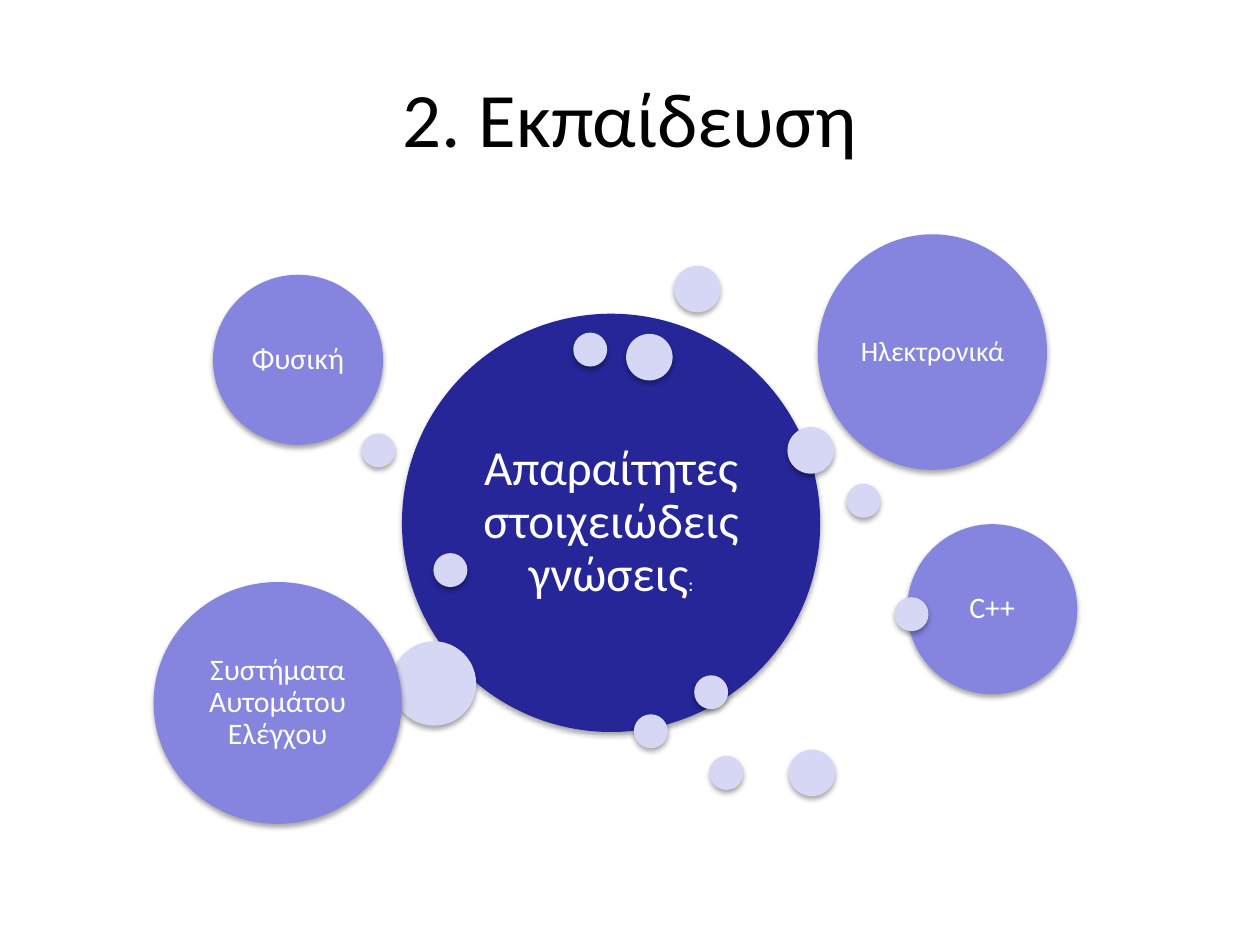
import dataclasses

import lxml.etree
import pptx
import pptx.dml.color
import pptx.enum.shapes
import pptx.enum.text
import pptx.oxml.ns
import pptx.util


@dataclasses.dataclass(frozen=True)
class Theme:
    font: str = "Calibri"
    title_color: str = "000000"
    text_color: str = "FFFFFF"
    core_fill: str = "262699"
    topic_fill: str = "8585E0"
    bubble_fill: str = "D6D6F5"
    shadow_color: str = "000000"
    title_size: float = 44
    core_size: float = 28
    colon_size: float = 11
    topic_size: float = 17
    small_topic_size: float = 16


THEME = Theme()

TOPICS = [
    ("Φυσική", 121.7, 157, 97.2, 97.2, THEME.topic_size),
    ("Ηλεκτρονικά", 467.3, 133.9, 131, 134.6, THEME.small_topic_size),
    ("C++", 518.4, 299.5, 97.2, 97.2, THEME.topic_size),
    ("Συστήματα Αυτομάτου Ελέγχου", 87.8, 332.6, 141.8, 138.2, THEME.topic_size),
]

LARGE_BUBBLES = [(223.9, 366.5)]
MEDIUM_BUBBLES = [(385.2, 151.9), (450.7, 428.4), (357.8, 190.8), (450, 244.1)]
SMALL_BUBBLES = [
    (362.2, 408.2), (483.8, 276.5), (327.6, 190.1), (247.7, 316.1),
    (206.6, 247.7), (396.7, 385.9), (511.2, 341.3), (405.4, 432),
]


def place(shape, left, top, width, height):
    shape.left, shape.top = pptx.util.Pt(left), pptx.util.Pt(top)
    shape.width, shape.height = pptx.util.Pt(width), pptx.util.Pt(height)


def add_text(paragraph, text, *, size, color=THEME.text_color, line_spacing=None):
    paragraph.alignment = pptx.enum.text.PP_ALIGN.CENTER
    if line_spacing is not None:
        paragraph.line_spacing = line_spacing
    run = paragraph.add_run()
    run.text = text
    run.font.name = THEME.font
    run.font.size = pptx.util.Pt(size)
    run.font.color.rgb = pptx.dml.color.RGBColor.from_string(color)


def add_shadow(shape):
    shape.shadow.inherit = False
    qualified = pptx.oxml.ns.qn
    effects = shape._element.spPr.find(qualified("a:effectLst"))
    shadow = lxml.etree.SubElement(
        effects, qualified("a:outerShdw"),
        blurRad=str(pptx.util.Pt(3.1)), dist=str(pptx.util.Pt(1.8)),
        dir="5400000", rotWithShape="0")
    color = lxml.etree.SubElement(
        shadow, qualified("a:srgbClr"), val=THEME.shadow_color)
    lxml.etree.SubElement(color, qualified("a:alpha"), val="35000")


def add_circle(slide, left, top, width, height, fill):
    lengths = [pptx.util.Pt(value) for value in (left, top, width, height)]
    shape = slide.shapes.add_shape(
        pptx.enum.shapes.MSO_SHAPE.OVAL, *lengths)
    shape.fill.solid()
    shape.fill.fore_color.rgb = pptx.dml.color.RGBColor.from_string(fill)
    shape.line.fill.background()
    add_shadow(shape)
    return shape


def add_labelled_circle(slide, box, fill, pieces, inset):
    frame = add_circle(slide, *box, fill).text_frame
    frame.word_wrap = True
    frame.vertical_anchor = pptx.enum.text.MSO_ANCHOR.MIDDLE
    frame.margin_left = frame.margin_right = pptx.util.Pt(inset)
    frame.margin_top = frame.margin_bottom = pptx.util.Pt(inset)
    for text, size in pieces:
        add_text(frame.paragraphs[0], text, size=size, line_spacing=0.9)


def add_bubbles(slide, positions, diameter):
    for left, top in positions:
        add_circle(slide, left, top, diameter, diameter, THEME.bubble_fill)


def add_title(slide, text):
    title = slide.shapes.title
    place(title, 36, 21.6, 648, 90)
    frame = title.text_frame
    frame.auto_size = pptx.enum.text.MSO_AUTO_SIZE.NONE
    frame.vertical_anchor = pptx.enum.text.MSO_ANCHOR.MIDDLE
    add_text(frame.paragraphs[0], text,
             size=THEME.title_size, color=THEME.title_color)


def main():
    presentation = pptx.Presentation()
    presentation.slide_width = pptx.util.Pt(720)
    presentation.slide_height = pptx.util.Pt(540)
    slide = presentation.slides.add_slide(presentation.slide_layouts[5])

    add_title(slide, "2. Εκπαίδευση")
    core_text = [("Απαραίτητες στοιχειώδεις γνώσεις", THEME.core_size),
                 (":", THEME.colon_size)]
    add_labelled_circle(slide, (229.7, 179.3, 239, 239), THEME.core_fill,
                        core_text, inset=8.6)
    add_bubbles(slide, LARGE_BUBBLES, 48.2)
    for text, left, top, width, height, size in TOPICS:
        add_labelled_circle(slide, (left, top, width, height),
                            THEME.topic_fill, [(text, size)], inset=5)
    add_bubbles(slide, MEDIUM_BUBBLES, 26.6)
    add_bubbles(slide, SMALL_BUBBLES, 19.4)

    presentation.save("out.pptx")


main()
